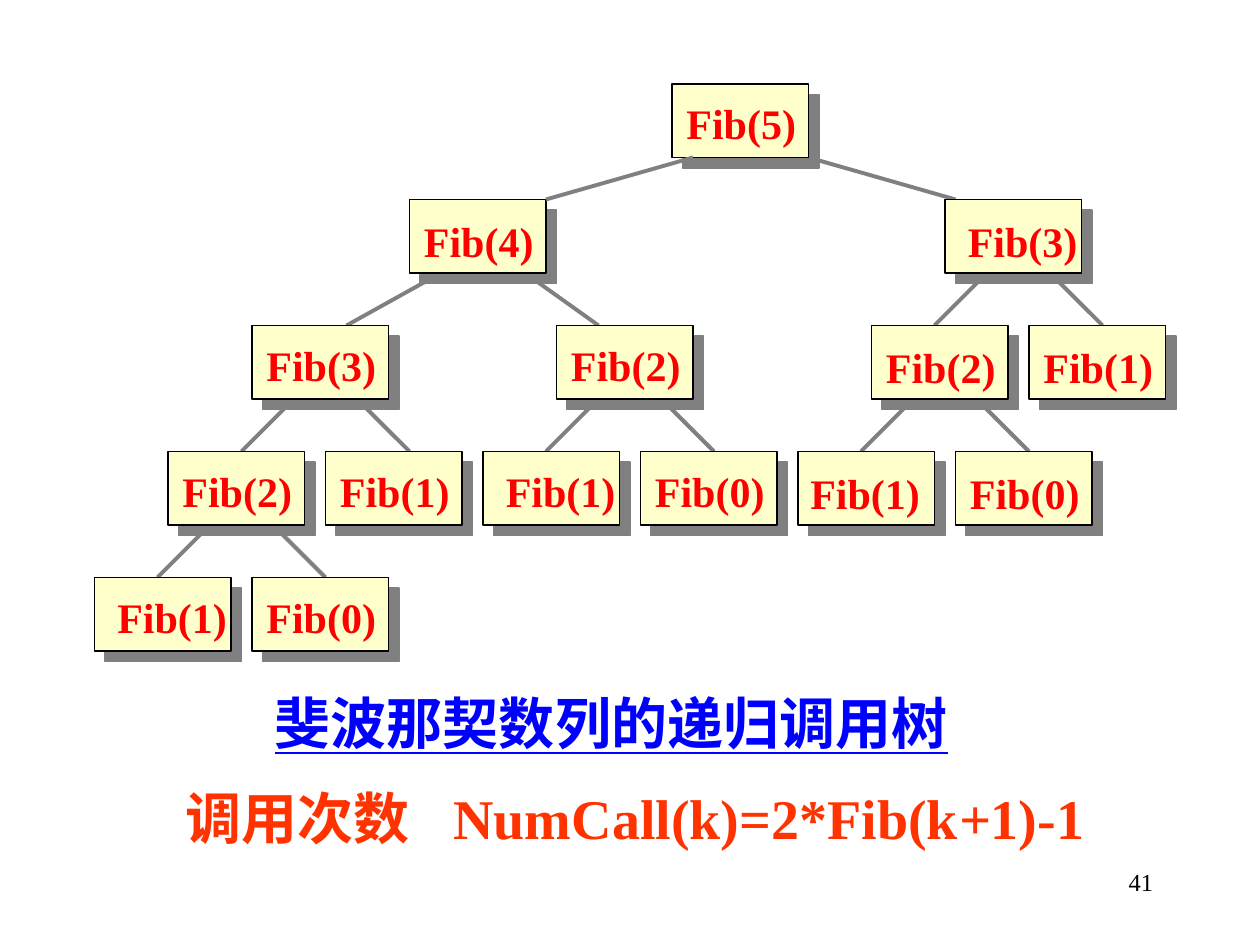
from lxml import etree
from pptx import Presentation
from pptx.dml.color import RGBColor
from pptx.enum.shapes import MSO_CONNECTOR, MSO_SHAPE
from pptx.enum.text import MSO_AUTO_SIZE, PP_ALIGN
from pptx.oxml.ns import qn
from pptx.util import Emu, Pt

STRAIGHT = MSO_CONNECTOR.STRAIGHT
RECTANGLE = MSO_SHAPE.RECTANGLE
GROW = MSO_AUTO_SIZE.SHAPE_TO_FIT_TEXT
LEFT = PP_ALIGN.LEFT
RIGHT = PP_ALIGN.RIGHT

BLACK = RGBColor(0x00, 0x00, 0x00)
GRAY = RGBColor(0x80, 0x80, 0x80)
CREAM = RGBColor(0xFF, 0xFF, 0xCC)
RED = RGBColor(0xFF, 0x00, 0x00)
BLUE = RGBColor(0x00, 0x00, 0xFF)
ORANGE = RGBColor(0xFF, 0x33, 0x00)

FONT = "Times New Roman"
EMU_PER_PX = 7620
NODE_WIDTH, NODE_HEIGHT = 130, 70
LEVELS = [80, 190, 310, 430, 550]

NODES = [
    (0, 640, 5, 2, 7),
    (1, 390, 4, 2, 9), (1, 900, 3, 10, 9),
    (2, 240, 3, 2, 7), (2, 530, 2, 2, 7),
    (2, 830, 2, 2, 9), (2, 980, 1, 2, 9),
    (3, 160, 2, 2, 7), (3, 310, 1, 2, 7), (3, 460, 1, 10, 7),
    (3, 610, 0, 2, 7), (3, 760, 1, 0, 9), (3, 910, 0, 2, 9),
    (4, 90, 1, 10, 7), (4, 240, 0, 2, 7),
]
EVEN_PARENTS = [(1, 900), (2, 240), (2, 530), (2, 830), (3, 160)]
WIDE_BRANCHES = [(0, 770, 910), (1, 420, 330), (1, 500, 570)]
FRONT_BRANCH = (0, 660, 520)


def px(value):
    return Emu(value * EMU_PER_PX)


class TreePage:
    def __init__(self, deck):
        self.page = deck.slides.add_slide(deck.slide_layouts[6])

    def branch(self, level, start, end):
        line = self.page.shapes.add_connector(
            STRAIGHT, px(start), px(LEVELS[level] + NODE_HEIGHT),
            px(end), px(LEVELS[level + 1]))
        line.line.color.rgb = GRAY
        line.line.width = Pt(2.25)
        etree.SubElement(line._element.spPr, qn("a:effectLst"))

    def node(self, level, left):
        box = self.page.shapes.add_shape(
            RECTANGLE, px(left), px(LEVELS[level]),
            px(NODE_WIDTH), px(NODE_HEIGHT))
        box.shadow.inherit = False
        box.fill.solid()
        box.fill.fore_color.rgb = CREAM
        box.line.color.rgb = BLACK
        box.line.width = Pt(0.75)
        effects = box._element.spPr.find(qn("a:effectLst"))
        shadow = etree.SubElement(
            effects, qn("a:outerShdw"), dist=str(Pt(8.5)),
            dir="2700000", algn="ctr", rotWithShape="0")
        etree.SubElement(shadow, qn("a:srgbClr"), val=str(GRAY))

    def text(self, left, top, width, height, spans, size, color, bold=True,
             underline=None, align=LEFT, wrap=True, grow=True, tab=None):
        box = self.page.shapes.add_textbox(
            px(left), px(top), px(width), px(height))
        frame = box.text_frame
        frame.word_wrap = wrap
        if grow:
            frame.auto_size = GROW
        para = frame.paragraphs[0]
        para.alignment = align
        if tab:
            stops = etree.SubElement(
                para._p.get_or_add_pPr(), qn("a:tabLst"))
            etree.SubElement(stops, qn("a:tab"), pos=str(px(tab)), algn="l")
        font = para.font
        font.name, font.size, font.bold = FONT, Pt(size), bold
        font.underline = underline
        font.color.rgb = color
        for words, span_size, italic in spans:
            span = para.add_run()
            span.text = words
            if span_size:
                span.font.size = Pt(span_size)
            if italic:
                span.font.italic = True

    def label(self, level, left, argument, offset_x, offset_y):
        self.text(left + offset_x, LEVELS[level] + offset_y, 132, 60,
                  [(f"Fib({argument})", None, False)], 24, RED, wrap=False)


def main():
    deck = Presentation()
    deck.slide_width, deck.slide_height = px(1200), px(900)
    tree = TreePage(deck)

    for level, left in EVEN_PARENTS:
        tree.branch(level, left + 40, left - 10)
        tree.branch(level, left + 100, left + 150)
    for branch in WIDE_BRANCHES:
        tree.branch(*branch)

    formula = [("调用次数", None, False), ("\t", 36, True),
               ("NumCall(k)=2*Fib(k", None, False), ("+", None, True),
               ("1)-1", None, False)]
    tree.text(165, 734, 926, 84, formula, 32, ORANGE, tab=255)
    tree.text(250, 650, 671, 76, [("斐波那契数列的递归调用树", None, False)],
              32, BLUE, underline=True)

    for level, left, *_ in NODES:
        tree.node(level, left)
    tree.branch(*FRONT_BRANCH)
    for node in NODES:
        tree.label(*node)

    tree.text(860, 820, 250, 60, [("41", None, False)], 14, BLACK,
              bold=False, align=RIGHT, grow=False)
    deck.save("out.pptx")


if __name__ == "__main__":
    main()
